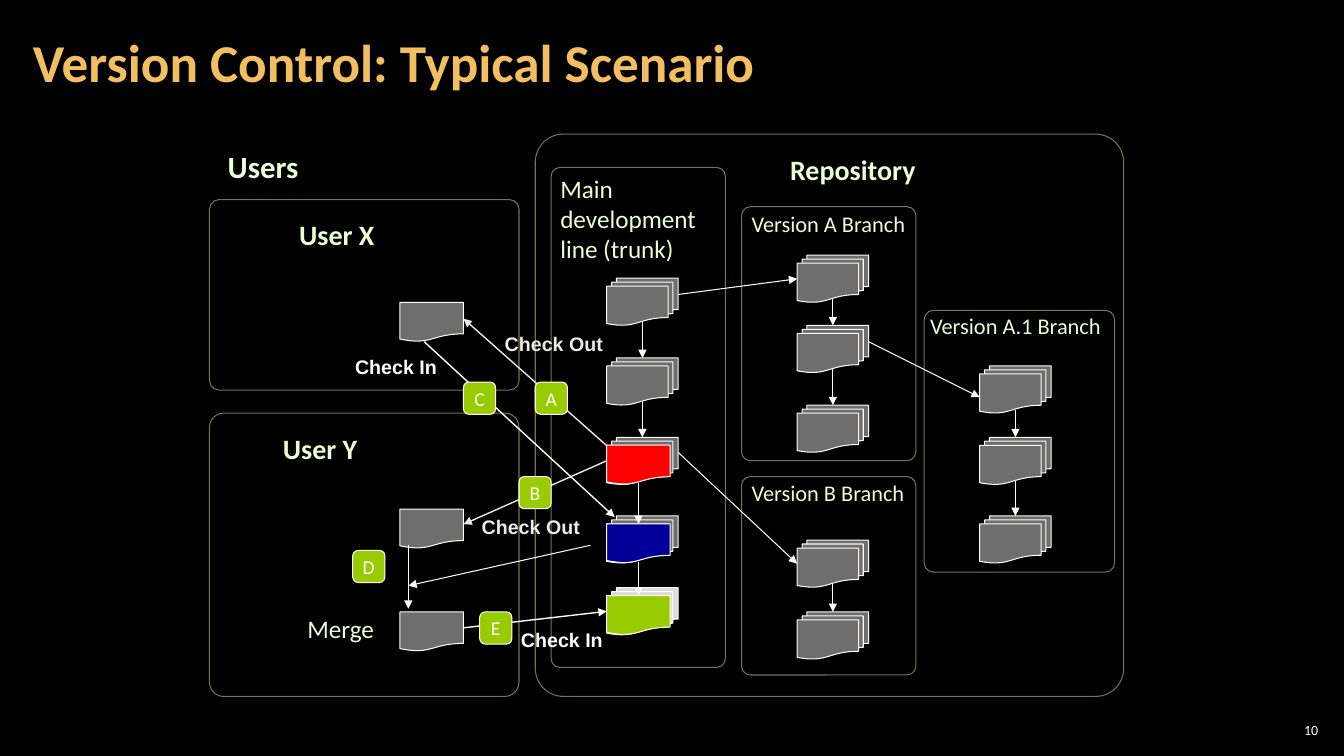
from itertools import pairwise

from lxml.etree import SubElement
from pptx import Presentation
from pptx.dml.color import RGBColor
from pptx.enum.shapes import MSO_CONNECTOR as Connector, MSO_SHAPE as Shape
from pptx.enum.text import MSO_ANCHOR as Anchor, PP_ALIGN as Align
from pptx.oxml.ns import qn
from pptx.util import Cm, Pt

BLACK, WHITE, CREAM, SILVER = "000000", "FFFFFF", "FEFCF4", "ECEAE3"
GOLD, MINT, OLIVE, GREY = "F3BE60", "EBFFD2", "7C7154", "DDDDDD"
RED, BLUE, GREEN = "FF0000", "000099", "99CC00"
STACK_WIDTH, STACK_HEIGHT = 1.8, 1.19
FILE_WIDTH, FILE_HEIGHT = 1.6, 0.99
FILE_DROP = 0.2
BADGE_SIZE = 0.81
TOP, LEFT = 0, 1


def color(value):
    return RGBColor.from_string(value)


def add_block(page, kind, left, top, width, height, fill=None, line=CREAM, alpha=None):
    block = page.shapes.add_shape(kind, Cm(left), Cm(top), Cm(width), Cm(height))
    block.shadow.inherit = False
    block.line.color.rgb = color(line)
    block.line.width = Pt(0.75)
    if fill is None:
        block.fill.background()
    else:
        block.fill.solid()
        block.fill.fore_color.rgb = color(fill)
    if alpha:
        tint = block.fill._xPr.find(".//" + qn("a:srgbClr"))
        SubElement(tint, qn("a:alpha"), val=str(alpha * 1000))
    return block


def add_panel(page, left, top, width, height, fill=None):
    panel = add_block(page, Shape.ROUNDED_RECTANGLE, left, top, width, height, fill, OLIVE)
    panel.adjustments[0] = 0.05


def add_stack(page, left, top, alpha=50):
    return add_block(page, Shape.FLOWCHART_MULTIDOCUMENT, left, top,
                     STACK_WIDTH, STACK_HEIGHT, GREY, alpha=alpha)


def add_file(page, left, top, fill=GREY, alpha=None):
    return add_block(page, Shape.FLOWCHART_DOCUMENT, left, top,
                     FILE_WIDTH, FILE_HEIGHT, fill, alpha=alpha)


def add_arrow(page, start, end, line=CREAM, width=0.75, target=None, side=LEFT):
    arrow = page.shapes.add_connector(Connector.STRAIGHT, *map(Cm, start + end))
    arrow.line.color.rgb = color(line)
    arrow.line.width = Pt(width)
    SubElement(arrow.line._get_or_add_ln(), qn("a:tailEnd"), type="triangle")
    SubElement(arrow._element.spPr, qn("a:effectLst"))
    if target is not None:
        arrow.end_connect(target, side)


def add_branch(page, left, tops):
    stacks = [add_stack(page, left, top) for top in tops]
    center = left + STACK_WIDTH / 2
    for upper, lower in pairwise(tops):
        add_arrow(page, (center, upper + 1.1), (center, lower))
    return stacks


def add_trunk_files(page, left, tops):
    center = left + FILE_WIDTH / 2
    files = [add_file(page, left, top + FILE_DROP, fill)
             for top, fill in zip(tops, (RED, BLUE, GREEN))]
    for (upper, lower), target in zip(pairwise(tops), files[1:]):
        add_arrow(page, (center, upper + 1.15), (center, lower + FILE_DROP),
                  target=target, side=TOP)


def style(para, size, ink, bold=False, font="Calibri", align=Align.LEFT):
    para.alignment = align
    para.font.name = font
    para.font.size = Pt(size)
    para.font.bold = bold
    para.font.color.rgb = color(ink)


def add_label(page, text, left, top, width, height, size, ink=MINT, bold=False,
              font="Calibri", align=Align.LEFT):
    box = page.shapes.add_textbox(Cm(left), Cm(top), Cm(width), Cm(height))
    box.text_frame.word_wrap = True
    box.text_frame.text = text
    for para in box.text_frame.paragraphs:
        style(para, size, ink, bold, font, align)
    return box.text_frame


def add_badge(page, letter, left, top):
    badge = add_block(page, Shape.FLOWCHART_ALTERNATE_PROCESS, left, top,
                      BADGE_SIZE, BADGE_SIZE, GREEN, WHITE)
    frame = badge.text_frame
    frame.margin_left = frame.margin_right = frame.margin_top = frame.margin_bottom = 0
    frame.vertical_anchor = Anchor.MIDDLE
    frame.word_wrap = False
    frame.text = letter
    style(frame.paragraphs[0], 14, WHITE, align=Align.CENTER)


def add_heading(page):
    title = add_label(page, "Version Control: Typical Scenario",
                      0.53, 0.1, 26.59, 3.07, 38, GOLD, True)
    title.paragraphs[0].line_spacing = Pt(40)
    title.margin_left = title.margin_right = Cm(0.3)
    title.margin_top = title.margin_bottom = Cm(0.1)
    number = add_label(page, "10", 32.13, 18.14, 1.19, 0.53, 10, WHITE, align=Align.RIGHT)
    number.margin_left = number.margin_right = Cm(0.1)
    number.margin_top = number.margin_bottom = Cm(0.1)
    for frame in (title, number):
        frame.vertical_anchor = Anchor.MIDDLE


def add_panels(page):
    add_panel(page, 13.49, 3.38, 14.83, 14.17, BLACK)
    for top, height in ((5.03, 4.8), (10.41, 7.14)):
        add_panel(page, 5.28, top, 7.8, height, BLACK)
    for left, top, width, height in (
        (13.89, 4.22, 4.39, 12.6),
        (18.69, 5.21, 4.39, 6.4),
        (18.69, 12.01, 4.39, 5),
        (23.29, 7.82, 4.8, 6.6),
    ):
        add_panel(page, left, top, width, height)


def add_flow(page):
    trunk, tops = 15.29, (7.01, 9.02, 11.02, 13, 14.81)
    add_branch(page, trunk, tops[:3])
    add_stack(page, trunk, tops[3])
    merged = add_stack(page, trunk, tops[4], alpha=None)
    add_trunk_files(page, trunk, tops[2:])
    branch_a = add_branch(page, 20.09, (6.43, 8.2, 10.21))
    branch_b = add_branch(page, 20.09, (13.61, 15.42))
    add_branch(page, 24.69, (9.22, 11.02, 13))
    for top in (7.62, 12.83, 15.42):
        add_file(page, 10.08, top, alpha=50)

    add_arrow(page, (17.09, 7.42), (20.09, 7.02), target=branch_a[0])
    add_arrow(page, (17.09, 11.4), (20.09, 14.2), target=branch_b[0])
    add_arrow(page, (21.89, 8.61), (24.69, 10.01))
    add_arrow(page, (15.29, 11.23), (11.68, 8.03), SILVER, 1)
    add_arrow(page, (15.29, 11.61), (11.68, 13.21), SILVER, 1)
    add_arrow(page, (14.88, 13.74), (10.29, 14.76))
    add_arrow(page, (10.29, 13.74), (10.29, 15.34))
    add_arrow(page, (10.69, 8.61), (15.49, 13.03), width=1)
    add_arrow(page, (11.68, 15.82), (15.29, 15.4), width=1, target=merged)


def add_labels(page):
    add_label(page, "Users", 5.49, 3.61, 3, 1.19, 22, bold=True)
    for text, left, top in (("Repository", 19.66, 3.73), ("User X", 7.29, 5.36),
                            ("User Y", 6.88, 10.74)):
        add_label(page, text, left, top, 4, 1.12, 20, bold=True)
    add_label(page, "Main\ndevelopment\nline (trunk)", 13.87, 4.24, 4.2, 3.33, 18)
    for name, left, top in (("A", 18.69, 5.16), ("B", 18.69, 11.94), ("A.1", 23.19, 7.75)):
        add_label(page, f"Version {name} Branch", left, top, 5, 0.94, 16)
    add_label(page, "Merge", 7.29, 15.32, 2.59, 1.02, 18, align=Align.CENTER)
    for text, left, top, ink, align in (
        ("Check Out", 12.47, 8.23, SILVER, Align.LEFT),
        ("Check Out", 11.89, 12.85, SILVER, Align.LEFT),
        ("Check In", 8.48, 8.81, WHITE, Align.CENTER),
        ("Check In", 12.88, 15.7, WHITE, Align.LEFT),
    ):
        add_label(page, text, left, top, 3, 0.84, 14, ink, True, "Arial", align)
    for letter, left, top in (("A", 13.49, 9.63), ("B", 13.08, 12.01), ("C", 11.68, 9.63),
                              ("D", 8.89, 13.87), ("E", 12.09, 15.42)):
        add_badge(page, letter, left, top)


def main():
    deck = Presentation()
    deck.slide_width, deck.slide_height = Cm(33.87), Cm(19.05)
    page = deck.slides.add_slide(deck.slide_layouts[6])
    page.background.fill.solid()
    page.background.fill.fore_color.rgb = color(BLACK)
    add_heading(page)
    add_panels(page)
    add_flow(page)
    add_labels(page)
    deck.save("out.pptx")


if __name__ == "__main__":
    main()
